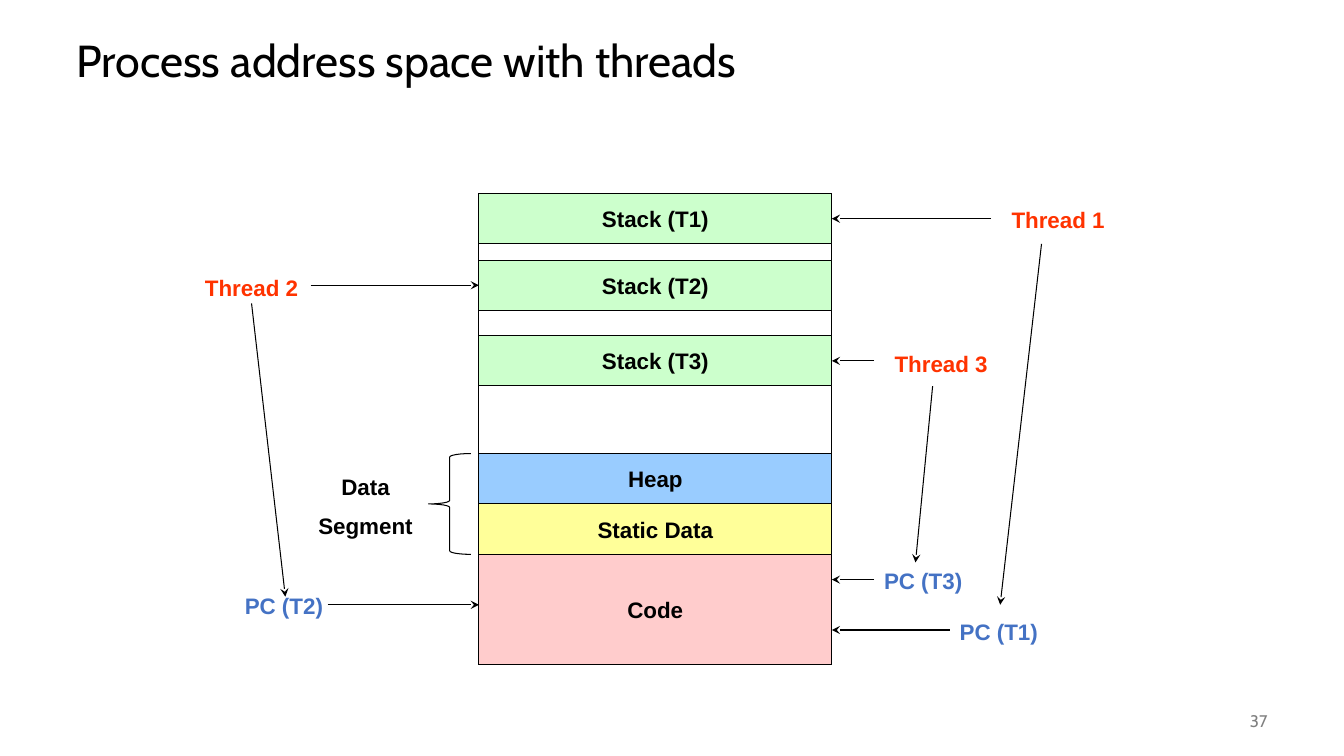
"""Build the slide on a process address space with threads."""
from dataclasses import dataclass
from typing import Optional

from lxml.etree import SubElement
from pptx import Presentation
from pptx.dml.color import RGBColor
from pptx.enum.shapes import MSO_CONNECTOR as Link, MSO_SHAPE as Kind
from pptx.enum.text import MSO_ANCHOR as Anchor, MSO_AUTO_SIZE as Auto, PP_ALIGN as Align
from pptx.oxml.ns import qn
from pptx.shapes.autoshape import Shape
from pptx.shapes.shapetree import SlideShapes
from pptx.text.text import TextFrame
from pptx.util import Inches, Pt

BLACK = RGBColor(0x00, 0x00, 0x00)
GRAY = RGBColor(0x80, 0x80, 0x80)
GREEN = RGBColor(0xCC, 0xFF, 0xCC)
PINK = RGBColor(0xFF, 0xCC, 0xCC)
YELLOW = RGBColor(0xFF, 0xFF, 0x99)
SKY = RGBColor(0x99, 0xCC, 0xFF)
RED = RGBColor(0xFF, 0x33, 0x00)
BLUE = RGBColor(0x44, 0x72, 0xC4)

LEFT, WIDTH = 4.75, 3.5
RIGHT = LEFT + WIDTH
TOP, BOTTOM = 1.92, 6.59
TALL = 0.34


@dataclass
class Band:
    text: str
    top: float
    fill: RGBColor
    height: float = 0.5


@dataclass
class Label:
    text: str
    left: float
    top: float
    width: float
    color: RGBColor
    align: Align = Align.CENTER
    height: float = TALL


@dataclass
class Joint:
    name: str
    site: int


@dataclass
class Arrow:
    x1: float
    y1: float
    x2: float
    y2: float
    start: Optional[Joint] = None
    end: Optional[Joint] = None


BANDS = [
    Band("Stack (T1)", TOP, GREEN),
    Band("Stack (T2)", 2.58, GREEN),
    Band("Stack (T3)", 3.33, GREEN),
    Band("Heap", 4.5, SKY),
    Band("Static Data", 5, YELLOW),
    Band("Code", 5.5, PINK, BOTTOM - 5.5),
]

LABELS = [
    Label("Thread 1", 9.58, 2, 1.83, RED),
    Label("Thread 2", 1.58, 2.67, 1.83, RED),
    Label("Thread 3", 8.42, 3.42, 1.83, RED),
    Label("PC (T1)", 9.42, 6.08, 1, BLUE, Align.LEFT),
    Label("PC (T2)", 2.33, 5.83, 1, BLUE, Align.LEFT),
    Label("PC (T3)", 8.67, 5.58, 1, BLUE, Align.LEFT),
    Label("Data\nSegment", 3, 4.64, 1.25, BLACK, height=0.77),
]

ARROWS = [
    Arrow(9.83, 2.17, RIGHT, 2.17, end=Joint("Stack (T1)", 3)),
    Arrow(3.08, 2.83, LEFT, 2.83, end=Joint("Stack (T2)", 1)),
    Arrow(8.67, 3.58, RIGHT, 3.58, end=Joint("Stack (T3)", 3)),
    Arrow(9.42, 6.25, RIGHT, 6.25, start=Joint("PC (T1)", 1)),
    Arrow(3.25, 6, LEFT, 6),
    Arrow(8.67, 5.75, RIGHT, 5.75, start=Joint("PC (T3)", 1)),
    Arrow(10.33, 2.42, 9.92, 6),
    Arrow(2.5, 3, 2.83, 5.92, start=Joint("Thread 2", 2)),
    Arrow(9.25, 3.83, 9.08, 5.58),
]


def write(frame: TextFrame, text: str, color: RGBColor, align: Align,
          size: int = 16, face: str = "Arial", bold: bool = True) -> None:
    frame.text = text
    frame.word_wrap = True
    for rank, para in enumerate(frame.paragraphs):
        para.alignment = align
        if rank:
            para.space_before = Pt(9)
        for run in para.runs:
            font = run.font
            font.name, font.size, font.bold = face, Pt(size), bold
            font.color.rgb = color


def outline(shapes: SlideShapes, kind: Kind, left: float, top: float,
            width: float, height: float, fill: Optional[RGBColor] = None) -> Shape:
    shape = shapes.add_shape(kind, Inches(left), Inches(top), Inches(width), Inches(height))
    shape.shadow.inherit = False
    shape.line.color.rgb = BLACK
    shape.line.width = Pt(0.75)
    if fill is None:
        shape.fill.background()
    else:
        shape.fill.solid()
        shape.fill.fore_color.rgb = fill
    return shape


def draw_band(shapes: SlideShapes, band: Band) -> Shape:
    shape = outline(shapes, Kind.RECTANGLE, LEFT, band.top, WIDTH, band.height, band.fill)
    write(shape.text_frame, band.text, BLACK, Align.CENTER)
    shape.text_frame.vertical_anchor = Anchor.MIDDLE
    return shape


def draw_label(shapes: SlideShapes, label: Label) -> Shape:
    box = shapes.add_textbox(Inches(label.left), Inches(label.top),
                             Inches(label.width), Inches(label.height))
    write(box.text_frame, label.text, label.color, label.align)
    return box


def draw_arrow(shapes: SlideShapes, arrow: Arrow, nodes: dict[str, Shape]) -> None:
    line = shapes.add_connector(Link.STRAIGHT, Inches(arrow.x1), Inches(arrow.y1),
                                Inches(arrow.x2), Inches(arrow.y2))
    if arrow.start:
        line.begin_connect(nodes[arrow.start.name], arrow.start.site)
    if arrow.end:
        line.end_connect(nodes[arrow.end.name], arrow.end.site)
    line.line.color.rgb = BLACK
    line.line.width = Pt(0.75)
    props = line._element.spPr
    SubElement(props.find(qn("a:ln")), qn("a:tailEnd"), type="stealth")
    SubElement(props, qn("a:effectLst"))


def main() -> None:
    deck = Presentation()
    deck.slide_width, deck.slide_height = Inches(13.33), Inches(7.5)
    shapes = deck.slides.add_slide(deck.slide_layouts[5]).shapes

    title = shapes.title
    title.left, title.top = Inches(0.66), Inches(0.25)
    title.width, title.height = Inches(12), Inches(0.75)
    write(title.text_frame, "Process address space with threads", BLACK,
          Align.LEFT, 32, "Cabin", False)
    title.text_frame.auto_size = Auto.NONE
    title.text_frame.vertical_anchor = Anchor.MIDDLE
    title.text_frame.paragraphs[0].line_spacing = 0.9

    page = shapes.add_textbox(Inches(11.67), Inches(6.95), Inches(1), Inches(0.4))
    write(page.text_frame, "37", GRAY, Align.RIGHT, 12, "Cabin", False)
    page.text_frame.vertical_anchor = Anchor.MIDDLE

    outline(shapes, Kind.RECTANGLE, LEFT, TOP, WIDTH, BOTTOM - TOP)
    nodes = {band.text: draw_band(shapes, band) for band in BANDS}
    nodes |= {label.text: draw_label(shapes, label) for label in LABELS}
    outline(shapes, Kind.LEFT_BRACE, 4.25, 4.5, 0.42, 1)
    for arrow in ARROWS:
        draw_arrow(shapes, arrow, nodes)

    deck.save("out.pptx")


if __name__ == "__main__":
    main()
